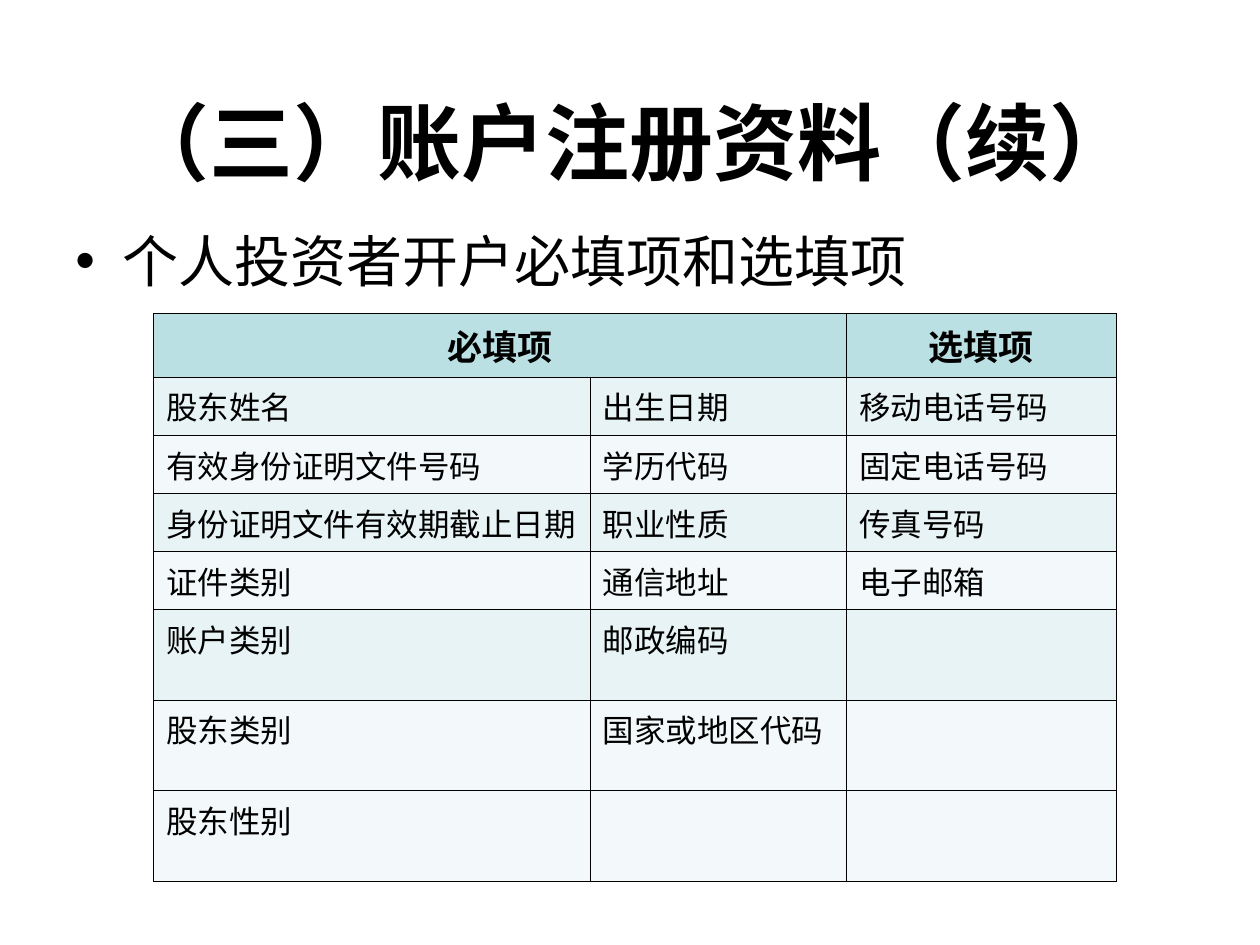
from dataclasses import dataclass

from lxml.etree import SubElement
from pptx import Presentation
from pptx.dml.color import RGBColor
from pptx.enum.text import MSO_ANCHOR, PP_ALIGN
from pptx.oxml.ns import qn
from pptx.util import Pt

COLORS = {"ink": "000000", "head": "BBE0E3", "odd": "E7F3F4", "even": "F3F9FA"}
CJK = "Noto Sans CJK JP"


@dataclass
class Style:
    size: float
    font: str = "Arial"
    bold: bool = False
    align: PP_ALIGN = PP_ALIGN.LEFT


@dataclass
class Box:
    text: str
    left: float
    top: float
    width: float
    height: float
    style: Style
    anchor: MSO_ANCHOR = MSO_ANCHOR.TOP
    bullet: bool = False


TITLE = Box("（三）账户注册资料（续）", 36, 49, 648, 62.5,
            Style(48, CJK, True, PP_ALIGN.CENTER), MSO_ANCHOR.MIDDLE)
BODY = Box("个人投资者开户必填项和选填项", 36, 126, 647, 356, Style(32), bullet=True)

HEAD = Style(20, bold=True, align=PP_ALIGN.CENTER)
CELL = Style(18)
COLS = [249.5, 146.5, 154]
HEIGHTS = [36.5] + [33.2] * 4 + [51.8] * 3
ROWS = [
    ["必填项", "", "选填项"],
    ["股东姓名", "出生日期", "移动电话号码"],
    ["有效身份证明文件号码", "学历代码", "固定电话号码"],
    ["身份证明文件有效期截止日期", "职业性质", "传真号码"],
    ["证件类别", "通信地址", "电子邮箱"],
    ["账户类别", "邮政编码", ""],
    ["股东类别", "国家或地区代码", ""],
    ["股东性别", "", ""],
]
FILLS = ["head", "odd", "even", "odd", "even", "odd", "even", "even"]


def add_run(para, text: str, style: Style) -> None:
    para.alignment = style.align
    run = para.add_run()
    run.text = text
    font = run.font
    font.size, font.bold, font.name = Pt(style.size), style.bold, style.font
    font.color.rgb = RGBColor.from_string(COLORS["ink"])
    SubElement(font._element, qn("a:ea"), typeface=CJK)


def add_box(slide, box: Box) -> None:
    shape = slide.shapes.add_textbox(
        Pt(box.left), Pt(box.top), Pt(box.width), Pt(box.height))
    frame = shape.text_frame
    frame.word_wrap = True
    frame.vertical_anchor = box.anchor
    para = frame.paragraphs[0]
    if box.bullet:
        props = para._p.get_or_add_pPr()
        props.set("marL", str(Pt(27)))
        props.set("indent", str(Pt(-27)))
        SubElement(props, qn("a:buFont"), typeface="Arial")
        SubElement(props, qn("a:buChar"), char="•")
    add_run(para, box.text, box.style)


def add_edges(cell) -> None:
    props = cell._tc.get_or_add_tcPr()
    for side in ("lnL", "lnR", "lnT", "lnB"):
        line = SubElement(props, qn(f"a:{side}"), w=str(Pt(0.45)))
        fill = SubElement(line, qn("a:solidFill"))
        SubElement(fill, qn("a:srgbClr"), val=COLORS["ink"])


def add_grid(slide, left: float, top: float) -> None:
    frame = slide.shapes.add_table(
        len(ROWS), len(COLS), Pt(left), Pt(top), Pt(sum(COLS)), Pt(sum(HEIGHTS)))
    table = frame.table
    for col, width in zip(table.columns, COLS):
        col.width = Pt(width)
    for r, texts in enumerate(ROWS):
        table.rows[r].height = Pt(HEIGHTS[r])
        for c, text in enumerate(texts):
            cell = table.cell(r, c)
            add_edges(cell)
            cell.fill.solid()
            cell.fill.fore_color.rgb = RGBColor.from_string(COLORS[FILLS[r]])
            if text:
                add_run(cell.text_frame.paragraphs[0], text, CELL if r else HEAD)
    # The required items span two columns
    table.cell(0, 0).merge(table.cell(0, 1))


def main() -> None:
    deck = Presentation()
    deck.slide_width, deck.slide_height = Pt(720), Pt(540)
    slide = deck.slides.add_slide(deck.slide_layouts[6])
    # Title and bullet line
    for box in (TITLE, BODY):
        add_box(slide, box)
    # Table of required and optional items
    add_grid(slide, 87.8, 179)
    deck.save("out.pptx")


if __name__ == "__main__":
    main()
